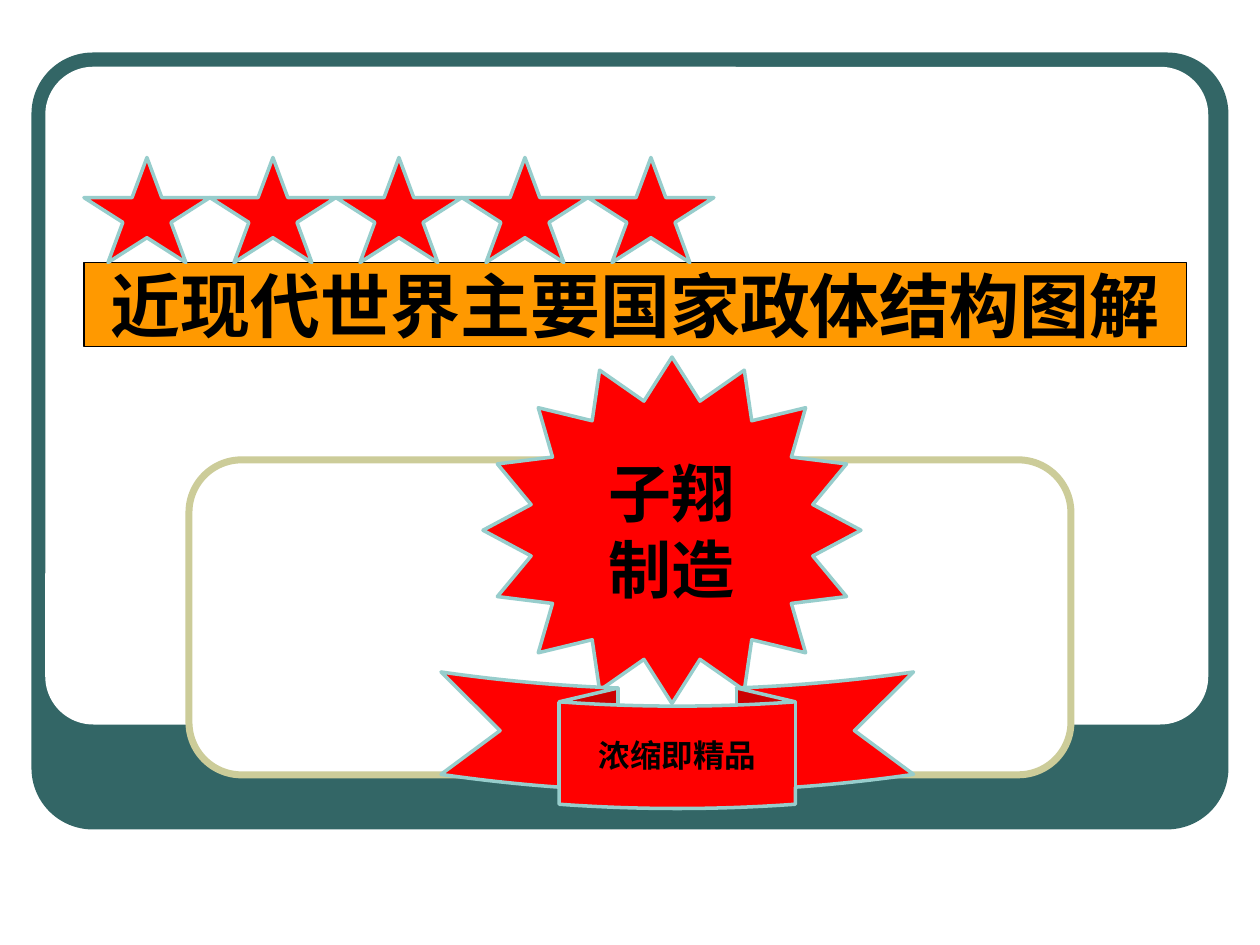
from pptx import Presentation
from pptx import util as u
from pptx.dml.color import RGBColor
from pptx.enum import shapes, text

TEAL = RGBColor(0x33, 0x66, 0x66)
WHITE = RGBColor(0xFF, 0xFF, 0xFF)
SAND = RGBColor(0xCC, 0xCC, 0x99)
ORANGE = RGBColor(0xFF, 0x99, 0x00)
BLACK = RGBColor(0, 0, 0)
RED = RGBColor(0xFF, 0, 0)
AQUA = RGBColor(0x97, 0xCD, 0xCC)
KIND = shapes.MSO_SHAPE
CELL = u.Inches(10) / 120


def place(box):
    return [round(side * CELL) for side in box]


def paint(shape, fill, line=None, width=0):
    shape.fill.solid()
    shape.fill.fore_color.rgb = fill
    if line is None:
        shape.line.fill.background()
    else:
        shape.line.color.rgb = line
        shape.line.width = u.Pt(width)


def draw(slide, kind, box, fill, line=None, width=0, round_by=None):
    shape = slide.shapes.add_shape(kind, *place(box))
    shape.shadow.inherit = False
    paint(shape, fill, line, width)
    if round_by is not None:
        shape.adjustments[0] = round_by
    return shape


def write(shape, words, size, wrap):
    frame = shape.text_frame
    frame.text = words
    frame.word_wrap = wrap
    frame.auto_size = text.MSO_AUTO_SIZE.NONE
    frame.vertical_anchor = text.MSO_ANCHOR.MIDDLE
    para = frame.paragraphs[0]
    para.alignment = text.PP_ALIGN.CENTER
    font = para.runs[0].font
    font.name = "Arial"
    font.size = u.Pt(size)
    font.bold = True
    font.color.rgb = BLACK


def add_frame(slide, box):
    x, y, w, h = box
    draw(slide, KIND.ROUNDED_RECTANGLE, box, TEAL, round_by=0.079)
    inner = (x + 1.32, y + 1.36, w - 3.24, h - 11.36)
    draw(slide, KIND.ROUNDED_RECTANGLE, inner, WHITE, round_by=0.073)
    panel = (x + 15, y + 38.8, w - 30, 30)
    draw(slide, KIND.ROUNDED_RECTANGLE, panel, WHITE, SAND, 4, 0.167)


def add_title(slide, box):
    title = slide.shapes.title
    title.left, title.top, title.width, title.height = place(box)
    paint(title, ORANGE, BLACK, 0.75)
    write(title, "近现代世界主要国家政体结构图解", 40, False)
    title.element.getparent().append(title.element)


def add_stars(slide, box, count):
    x, y, w, h = box
    step = w / count
    for i in range(count):
        draw(slide, KIND.STAR_5_POINT, (x + i * step, y, step, h), RED, AQUA, 2)


def add_badge(slide, box):
    x, y, w, h = box
    burst = draw(slide, KIND.STAR_16_POINT, (x + 4, y, 36, 33), RED, AQUA, 2, 0.38)
    write(burst, "子翔制造", 36, True)
    ribbon = draw(slide, KIND.CURVED_DOWN_RIBBON, (x, y + h - 13, w, 13), RED, AQUA, 2)
    write(ribbon, "浓缩即精品", 18, False)


def main():
    deck = Presentation()
    deck.slide_width, deck.slide_height = place((0, 0, 120, 90))[2:]
    slide = deck.slides.add_slide(deck.slide_layouts[5])
    add_frame(slide, (3, 5, 114, 74))
    add_title(slide, (8, 25, 105, 8))
    add_stars(slide, (8, 15, 60, 10), 5)
    add_badge(slide, (42, 34, 45, 43))
    deck.save("out.pptx")


if __name__ == "__main__":
    main()
